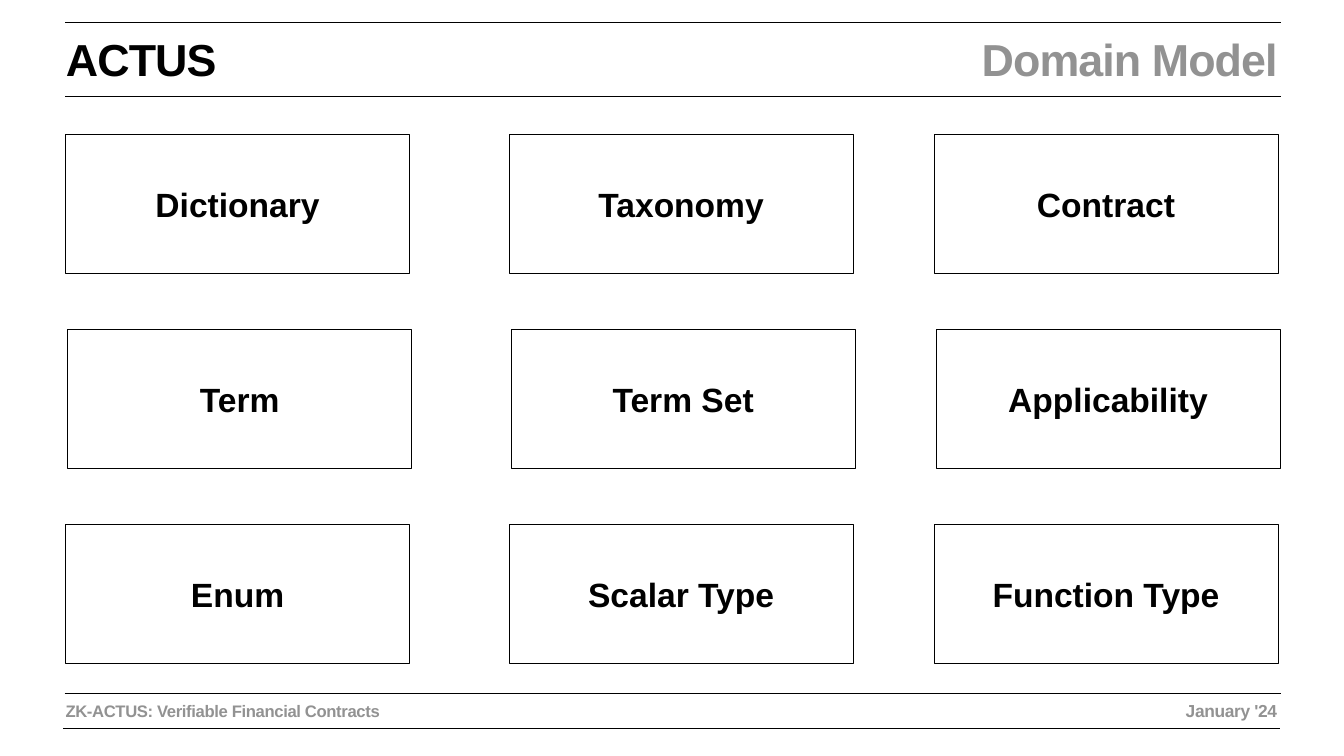
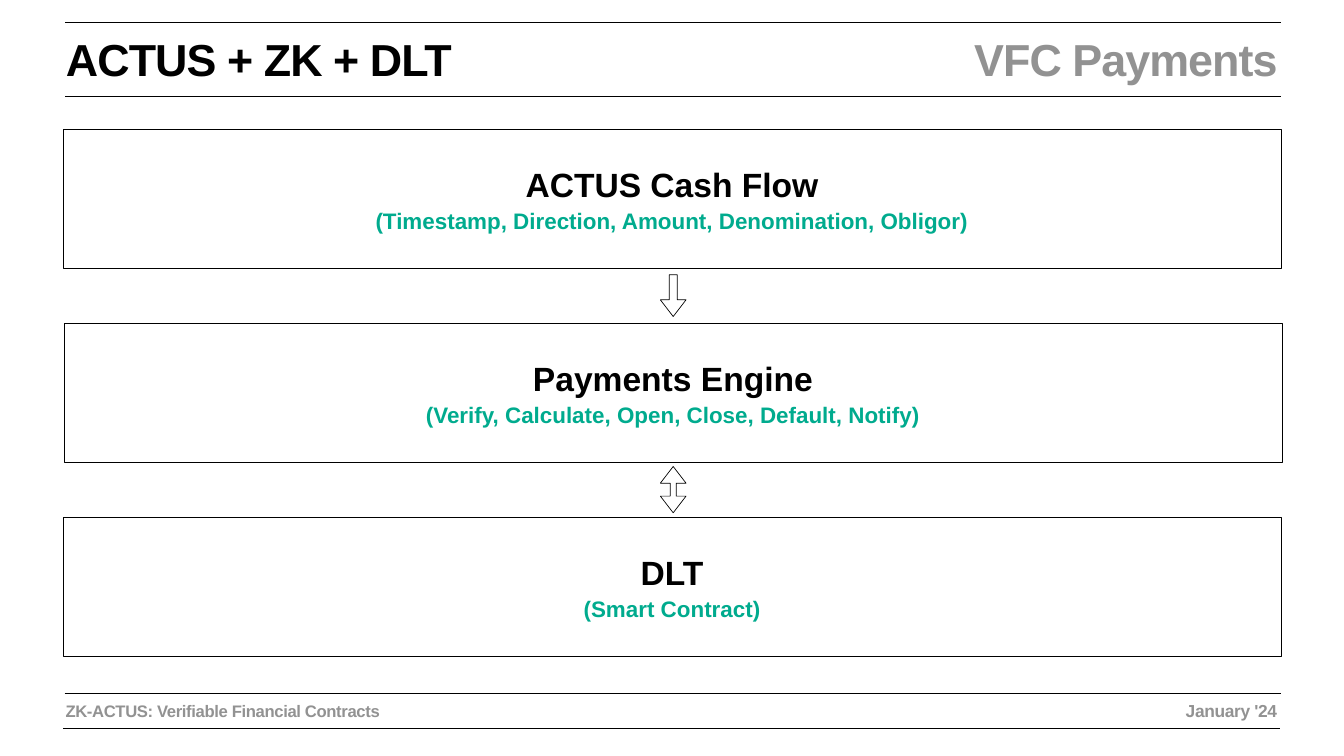
from dataclasses import dataclass

from lxml.etree import SubElement
from pptx import Presentation
from pptx.dml.color import RGBColor
from pptx.enum.shapes import MSO_CONNECTOR as Connector, MSO_SHAPE as Shape
from pptx.enum.text import MSO_ANCHOR as Anchor, PP_ALIGN as Align
from pptx.oxml.ns import qn
from pptx.util import Pt


@dataclass(frozen=True)
class Theme:
    font: str = "Arial"
    black: RGBColor = RGBColor(0x00, 0x00, 0x00)
    white: RGBColor = RGBColor(0xFF, 0xFF, 0xFF)
    grey: RGBColor = RGBColor(0x92, 0x92, 0x92)
    green: RGBColor = RGBColor(0x00, 0xAB, 0x8E)
    title_size: float = 64
    box_size: float = 48
    detail_size: float = 32
    footer_size: float = 23.8
    date_size: float = 24.8
    title_tracking: float = -1.3
    footer_tracking: float = -0.5
    line_width: float = 1
    inset: float = 4.3


theme = Theme()


def write(shape, lines, align, anchor=Anchor.TOP, tracking=0):
    """Fill a shape with bold paragraphs given as (text, size, colour)."""
    frame = shape.text_frame
    frame.word_wrap = True
    frame.vertical_anchor = anchor
    frame.margin_left = frame.margin_right = Pt(theme.inset)
    frame.margin_top = frame.margin_bottom = Pt(theme.inset)
    for index, (text, size, colour) in enumerate(lines):
        paragraph = frame.add_paragraph() if index else frame.paragraphs[0]
        paragraph.alignment = align
        if index:
            paragraph.space_before = Pt(4)
        run = paragraph.add_run()
        run.text = text
        if tracking:
            run._r.get_or_add_rPr().set("spc", str(round(tracking * 100)))
        font = paragraph.font
        font.name, font.size, font.bold = theme.font, Pt(size), True
        font.color.rgb = colour


def add_outlined(slide, kind, left, top, width, height):
    """Add a white shape with a thin black outline."""
    shape = slide.shapes.add_shape(kind, Pt(left), Pt(top), Pt(width), Pt(height))
    shape.shadow.inherit = False
    shape.fill.solid()
    shape.fill.fore_color.rgb = theme.white
    shape.line.color.rgb = theme.black
    shape.line.width = Pt(theme.line_width)
    return shape


presentation = Presentation()
presentation.slide_width, presentation.slide_height = Pt(1920), Pt(1080)
blank_layout = presentation.slide_layouts[6]

# Header and footer shared by both slides
rules = [(92.9, 32.4), (92.9, 138.2), (92.2, 990), (90.7, 1041.1)]
rule_length = 1737.4
headings = [("ACTUS", "Domain Model"), ("ACTUS + ZK + DLT", "VFC Payments")]

for topic, subject in headings:
    slide = presentation.slides.add_slide(blank_layout)
    for left, y in rules:
        rule = slide.shapes.add_connector(
            Connector.STRAIGHT, Pt(left), Pt(y), Pt(left + rule_length), Pt(y))
        rule.line.color.rgb = theme.black
        rule.line.width = Pt(theme.line_width)
        SubElement(rule._element.spPr, qn("a:effectLst"))

    labels = [
        (topic, 90, 41, 795, 87.8, Align.LEFT,
         theme.title_size, theme.black, theme.title_tracking),
        (subject, 629.3, 41, 1200.2, 87.8, Align.RIGHT,
         theme.title_size, theme.grey, theme.title_tracking),
        ("ZK-ACTUS: Verifiable Financial Contracts", 89.3, 996.5, 795, 37.5,
         Align.LEFT, theme.footer_size, theme.grey, theme.footer_tracking),
        ("January '24", 984.2, 996.5, 844.6, 38.2,
         Align.RIGHT, theme.date_size, theme.grey, theme.footer_tracking),
    ]
    for text, left, top, width, height, align, size, colour, tracking in labels:
        label = slide.shapes.add_textbox(Pt(left), Pt(top), Pt(width), Pt(height))
        write(label, [(text, size, colour)], align, tracking=tracking)

domain_slide, payments_slide = presentation.slides
box_height = 198.7

# Domain model: three rows of three, the middle row set slightly to the right
concepts = [
    ("Dictionary", "Taxonomy", "Contract"),
    ("Term", "Term Set", "Applicability"),
    ("Enum", "Scalar Type", "Function Type"),
]
column_lefts = (93.6, 727.2, 1334.2)
row_shifts = (0, 2.9, 0)
for row, (names, shift) in enumerate(zip(concepts, row_shifts)):
    for name, left in zip(names, column_lefts):
        box = add_outlined(domain_slide, Shape.RECTANGLE,
                           left + shift, 192.2 + row * 278.6, 491.8, box_height)
        write(box, [(name, theme.box_size, theme.black)], Align.CENTER, Anchor.MIDDLE)

# Payment layers: three full-width boxes
layers = [
    ("ACTUS Cash Flow", "(Timestamp, Direction, Amount, Denomination, Obligor)", 90),
    ("Payments Engine", "(Verify, Calculate, Open, Close, Default, Notify)", 91.4),
    ("DLT", "(Smart Contract)", 90),
]
for row, (name, detail, left) in enumerate(layers):
    box = add_outlined(payments_slide, Shape.RECTANGLE,
                       left, 184.3 + row * 277.2, 1740.2, box_height)
    write(box, [(name, theme.box_size, theme.black),
                (detail, theme.detail_size, theme.green)], Align.CENTER, Anchor.MIDDLE)

# Block arrows between the layers, turned to point along the stack
arrow_centre, arrow_thickness = 961.7, 36.7
arrows = [
    (Shape.RIGHT_ARROW, 422.3, 59.8, (0.31, 0.65)),
    (Shape.LEFT_RIGHT_ARROW, 699.5, 66.2, (0.23, 0.65)),
]
for kind, middle, length, adjustments in arrows:
    arrow = add_outlined(payments_slide, kind, arrow_centre - length / 2,
                         middle - arrow_thickness / 2, length, arrow_thickness)
    arrow.rotation = 90
    for index, value in enumerate(adjustments):
        arrow.adjustments[index] = value

presentation.save("out.pptx")
